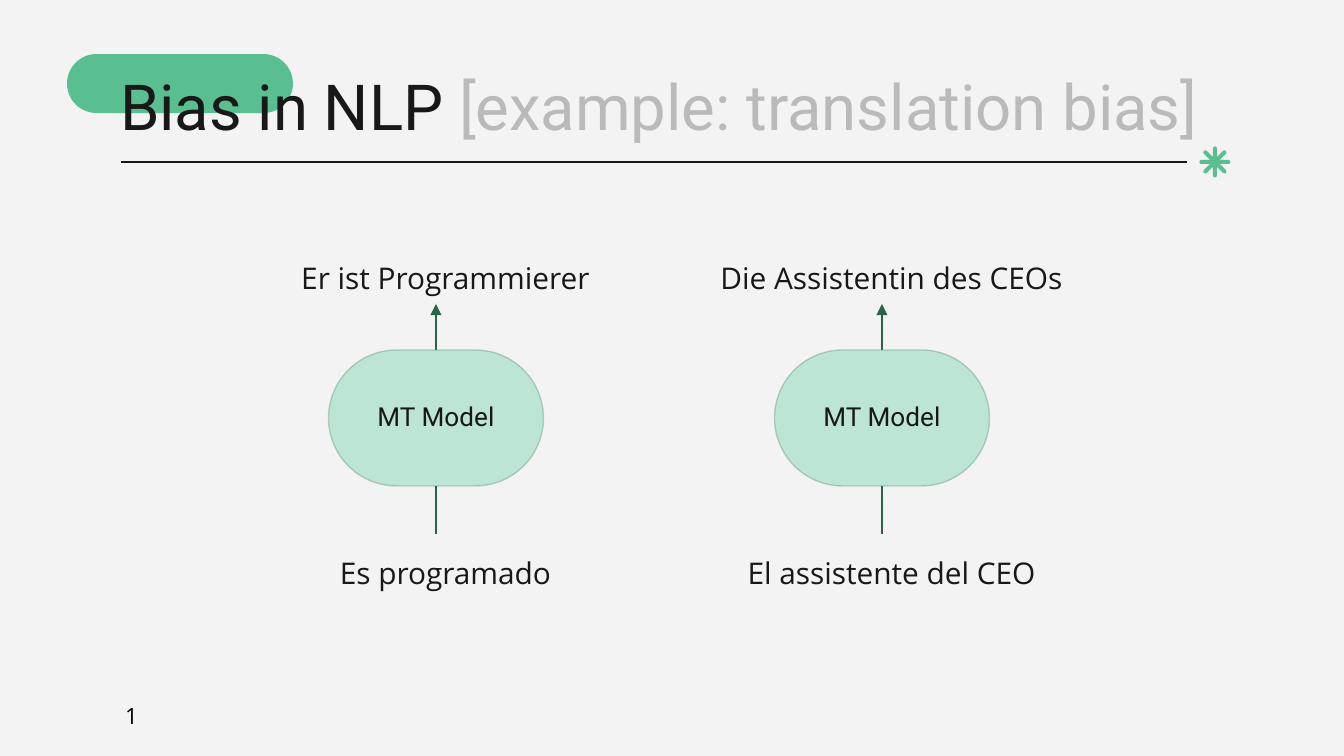
"""Build the translation bias slide."""
from math import cos, pi, sin

from lxml import etree
from pptx import Presentation
from pptx.dml.color import RGBColor
from pptx.enum.shapes import MSO_CONNECTOR, MSO_SHAPE
from pptx.enum.text import MSO_ANCHOR, PP_ALIGN
from pptx.oxml.ns import qn
from pptx.util import Pt

LINE, ROUND = MSO_CONNECTOR.STRAIGHT, MSO_SHAPE.ROUNDED_RECTANGLE
TOP, MIDDLE = MSO_ANCHOR.TOP, MSO_ANCHOR.MIDDLE
LEFT, CENTER = PP_ALIGN.LEFT, PP_ALIGN.CENTER
PAPER = RGBColor(0xF3, 0xF3, 0xF3)
GREEN = RGBColor(0x5A, 0xBF, 0x90)
MINT = RGBColor(0xBD, 0xE5, 0xD3)
PINE = RGBColor(0x27, 0x65, 0x48)
INK = RGBColor(0x19, 0x18, 0x19)
BLACK = RGBColor(0, 0, 0)
HEAD, BODY = "Roboto", "Open Sans"
SCALE = 9144000 / 1344

TITLE = ("Bias in NLP ", "[example: translation bias]")
MODEL = "MT Model"
PAGE = "1"
FLOWS = [
    (436, "Es programado", "Er ist Programmierer"),
    (882, "El assistente del CEO", "Die Assistentin des CEOs"),
]
WIDE, TALL = 215, 136
TEXT_W, TEXT_H, INDENT = 480, 81, 19
STAR = (1215, 162)
ARMS, REACH, HALF = 8, 13.5, 2


def px(*values):
    return [round(v * SCALE) for v in values]


def fade(fill, percent):
    color = fill.find(".//" + qn("a:srgbClr"))
    etree.SubElement(color, qn("a:alpha")).set("val", str(percent * 1000))


def write(shape, runs, size, font, color, align=CENTER, anchor=TOP, low=13):
    frame = shape.text_frame
    frame.word_wrap = True
    frame.vertical_anchor = anchor
    frame.margin_left, frame.margin_right, frame.margin_top, frame.margin_bottom = px(13, 13, 13, low)
    para = frame.paragraphs[0]
    para.alignment = align
    para.font.size, para.font.name = Pt(size), font
    para.font.color.rgb = color
    for words in runs:
        para.add_run().text = words
    return para


def label(box, *args, **style):
    return write(slide.shapes.add_textbox(*px(*box)), *args, **style)


def pill(box, color):
    shape = slide.shapes.add_shape(ROUND, *px(*box))
    shape.adjustments[0] = 0.5
    shape.shadow.inherit = False
    shape.fill.solid()
    shape.fill.fore_color.rgb = color
    shape.line.fill.background()
    return shape


def rule(ends, color, width, arrow=False):
    line = slide.shapes.add_connector(LINE, *px(*ends))
    line.line.color.rgb = color
    line.line.width = Pt(width)
    props = line._element.spPr
    if arrow:
        etree.SubElement(props.find(qn("a:ln")), qn("a:tailEnd")).set("type", "triangle")
    etree.SubElement(props, qn("a:effectLst"))


def star():
    cx, cy = STAR
    points = []
    notch = HALF / sin(pi / ARMS)
    for arm in range(ARMS):
        turn = 2 * pi * arm / ARMS
        tx, ty = cx + REACH * cos(turn), cy + REACH * sin(turn)
        for step in range(-3, 4):
            bend = turn + step * pi / 6
            points.append(px(tx + HALF * cos(bend), ty + HALF * sin(bend)))
        gap = turn + pi / ARMS
        points.append(px(cx + notch * cos(gap), cy + notch * sin(gap)))
    form = slide.shapes.build_freeform(*points[0])
    form.add_line_segments(points[1:], close=True)
    shape = form.convert_to_shape()
    shape.shadow.inherit = False
    shape.fill.solid()
    shape.fill.fore_color.rgb = GREEN
    shape.line.fill.background()


def flow(mid, source, target):
    rule((mid, 534, mid, 304), PINE, 1.25, arrow=True)
    for top, words in ((542, source), (247, target)):
        para = label((mid - TEXT_W / 2, top, TEXT_W, TEXT_H), [words], 16, BODY, INK)
        props = para._p.get_or_add_pPr()
        props.set("marL", str(px(INDENT)[0]))
        props.set("indent", "0")
    model = pill((mid - WIDE / 2, 350, WIDE, TALL), MINT)
    model.line.color.rgb = PINE
    model.line.width = Pt(0.75)
    fade(model._element.spPr.find(qn("a:ln")), 25)
    write(model, [MODEL], 14, HEAD, INK, anchor=MIDDLE, low=16)


deck = Presentation()
deck.slide_width, deck.slide_height = px(1344, 756)
slide = deck.slides.add_slide(deck.slide_layouts[6])
slide.background.fill.solid()
slide.background.fill.fore_color.rgb = PAPER

pill((67, 54, 226, 59), GREEN)
rule((121, 162, 1187, 162), INK, 1.5)
star()
title = label((107, 54, 1180, 87), TITLE, 34, HEAD, INK, align=LEFT)
note = title.runs[1]
note.font.color.rgb = INK
fade(note._r, 25)
for item in FLOWS:
    flow(*item)
label((106, 675, 51, 82), [PAGE], 12, BODY, BLACK, anchor=MIDDLE)
deck.save("out.pptx")
